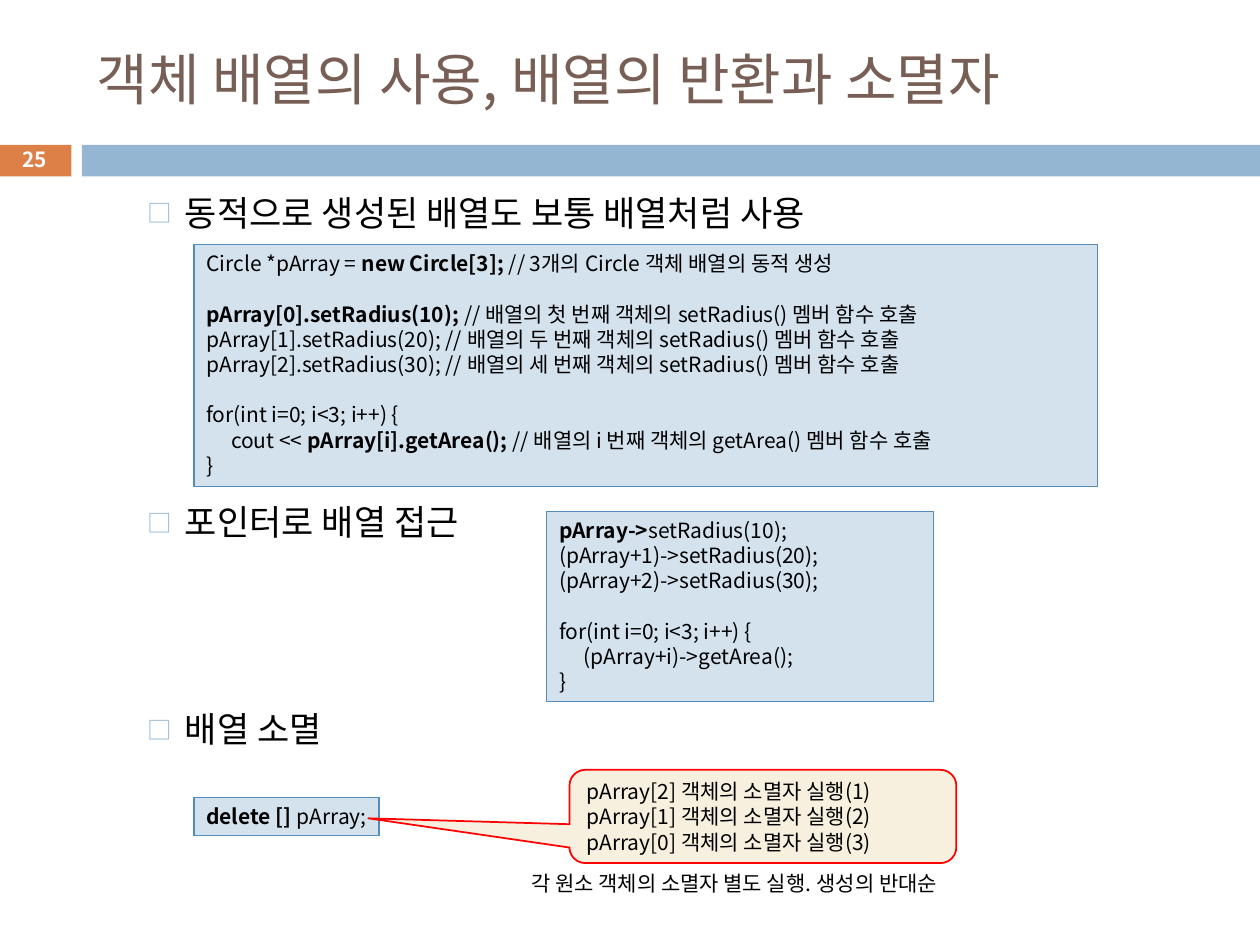
from dataclasses import dataclass

from lxml.etree import SubElement
from pptx import Presentation
from pptx.dml.color import RGBColor
from pptx.enum.shapes import MSO_SHAPE as Preset
from pptx.enum.text import MSO_ANCHOR as Anchor, PP_ALIGN as Align
from pptx.oxml.ns import qn
from pptx.util import Cm, Pt

FONT = "Noto Sans CJK KR"
BLACK = RGBColor(0, 0, 0)
WHITE = RGBColor(255, 255, 255)
BROWN = RGBColor(0x77, 0x5F, 0x55)
ORANGE = RGBColor(0xDD, 0x80, 0x47)
BLUE = RGBColor(0x94, 0xB6, 0xD2)
CODE_FILL = RGBColor(0xD4, 0xE2, 0xED)
CODE_LINE = RGBColor(0x55, 0x8B, 0xB8)
CREAM = RGBColor(0xF7, 0xF0, 0xDE)
RED = RGBColor(255, 0, 0)

CODE_ROW = 14.4  # points from one code line to the next
BODY_ROW = 29.5  # points from one outline line to the next
BODY_GAP = 5.5


@dataclass(frozen=True)
class Area:
    """Place and size in centimetres."""
    left: float
    top: float
    width: float
    height: float

    def lengths(self) -> tuple:
        return Cm(self.left), Cm(self.top), Cm(self.width), Cm(self.height)


@dataclass(frozen=True)
class Line:
    """One paragraph: plain text around a bold part, with spacing in points."""
    before: str = ""
    bold: str = ""
    after: str = ""
    gap: float = 0
    indent: float = 0
    hanging: float = 0
    bullet: bool = False


@dataclass(frozen=True)
class CodeBox:
    area: Area
    lines: tuple
    wrap: bool = True


BARS = ((Area(-0.03, 2.92, 1.47, 0.64), ORANGE),
        (Area(1.65, 2.92, 23.75, 0.64), BLUE))


def topic(text: str, skipped_rows: int = 0) -> Line:
    return Line(text, gap=BODY_GAP + skipped_rows * BODY_ROW,
                indent=1.78, hanging=0.76, bullet=True)


TOPICS = (topic("동적으로 생성된 배열도 보통 배열처럼 사용"),
          topic("포인터로 배열 접근", 5),
          topic("배열 소멸", 3))

LOOP = Line("for(int i=0; i<3; i++) {", gap=CODE_ROW)
CODE_BOXES = (
    CodeBox(Area(3.91, 4.93, 18.21, 4.88), (
        Line("Circle *pArray = ", "new Circle[3]; ", "// 3개의 Circle 객체 배열의 동적 생성"),
        Line("", "pArray[0].setRadius(10); ",
             "// 배열의 첫 번째 객체의 setRadius() 멤버 함수 호출", gap=CODE_ROW),
        Line("pArray[1].setRadius(20); // 배열의 두 번째 객체의 setRadius() 멤버 함수 호출"),
        Line("pArray[2].setRadius(30); // 배열의 세 번째 객체의 setRadius() 멤버 함수 호출"),
        LOOP,
        Line("cout << ", "pArray[i].getArea(); ",
             "// 배열의 i 번째 객체의 getArea() 멤버 함수 호출", indent=0.5),
        Line("}"))),
    CodeBox(Area(11.02, 10.31, 7.8, 3.84), (
        Line("", "pArray->", "setRadius(10);"),
        Line("(pArray+1)->setRadius(20);"),
        Line("(pArray+2)->setRadius(30);"),
        LOOP,
        Line("(pArray+i)->getArea();", indent=0.5),
        Line("}"))),
    CodeBox(Area(3.91, 16.08, 3.73, 0.76),
            (Line("", "delete [] ", "pArray;"),), wrap=False),
)
DESTROYED = tuple(Line(f"pArray[{3 - step}] 객체의 소멸자 실행({step})")
                  for step in (1, 2, 3))


def set_paragraph_layout(para, line: Line) -> None:
    """Set the indents and the square bullet of a paragraph."""
    props = para._p.get_or_add_pPr()
    props.set("marL", str(Cm(line.indent)))
    props.set("indent", str(-Cm(line.hanging)))
    if line.bullet:
        colour = SubElement(props, qn("a:buClr"))
        SubElement(colour, qn("a:srgbClr"), val=str(BLUE))
        SubElement(props, qn("a:buSzPct"), val="70000")
        SubElement(props, qn("a:buFont"), typeface=FONT)
        SubElement(props, qn("a:buChar"), char="□")


def write(shape, lines: tuple, *, size: float = 12, colour: RGBColor = BLACK,
          anchor: Anchor = Anchor.TOP, align: Align = Align.LEFT,
          wrap: bool = True) -> None:
    frame = shape.text_frame
    frame.word_wrap = wrap
    frame.vertical_anchor = anchor
    for index, line in enumerate(lines):
        para = frame.add_paragraph() if index else frame.paragraphs[0]
        para.alignment = align
        para.space_before = Pt(line.gap)
        set_paragraph_layout(para, line)
        for text, bold in ((line.before, False), (line.bold, True), (line.after, False)):
            if not text:
                continue
            span = para.add_run()
            span.text = text
            font = span.font
            font.name, font.size, font.bold = FONT, Pt(size), bold
            font.color.rgb = colour
            SubElement(span._r.get_or_add_rPr(), qn("a:ea"), typeface=FONT)


def add_box(page, area: Area, fill: RGBColor, *, outline: RGBColor | None = None,
            weight: float = 0.75, preset: Preset = Preset.RECTANGLE):
    box = page.shapes.add_shape(preset, *area.lengths())
    box.shadow.inherit = False
    box.fill.solid()
    box.fill.fore_color.rgb = fill
    if outline is None:
        box.line.fill.background()
    else:
        box.line.color.rgb = outline
        box.line.width = Pt(weight)
    return box


def add_text(page, area: Area, lines: tuple, **text_format) -> None:
    write(page.shapes.add_textbox(*area.lengths()), lines, **text_format)


def main() -> None:
    deck = Presentation()
    deck.slide_width, deck.slide_height = Cm(25.4), Cm(19.05)
    page = deck.slides.add_slide(deck.slide_layouts[6])

    for area, fill in BARS:
        add_box(page, area, fill)
    add_text(page, Area(1.7, 0.64, 22.66, 1.88),
             (Line("객체 배열의 사용, 배열의 반환과 소멸자"),),
             size=32, colour=BROWN, anchor=Anchor.MIDDLE)
    add_text(page, Area(1.7, 3.73, 22.66, 15.01), TOPICS, size=20)
    add_text(page, Area(-0.03, 2.87, 1.47, 0.69), (Line(bold="25"),),
             size=11.9, colour=WHITE, anchor=Anchor.MIDDLE, align=Align.CENTER)

    for code in CODE_BOXES:
        box = add_box(page, code.area, CODE_FILL, outline=CODE_LINE)
        write(box, code.lines, wrap=code.wrap)

    callout = add_box(page, Area(11.48, 15.52, 7.8, 1.88), CREAM, outline=RED,
                      weight=1, preset=Preset.ROUNDED_RECTANGULAR_CALLOUT)
    for index, value in enumerate((-1.02, 0.02, 0.17)):
        callout.adjustments[index] = value
    write(callout, DESTROYED, anchor=Anchor.MIDDLE)
    add_text(page, Area(10.46, 17.42, 9.78, 0.76),
             (Line("각 원소 객체의 소멸자 별도 실행. 생성의 반대순"),))

    deck.save("out.pptx")


if __name__ == "__main__":
    main()
